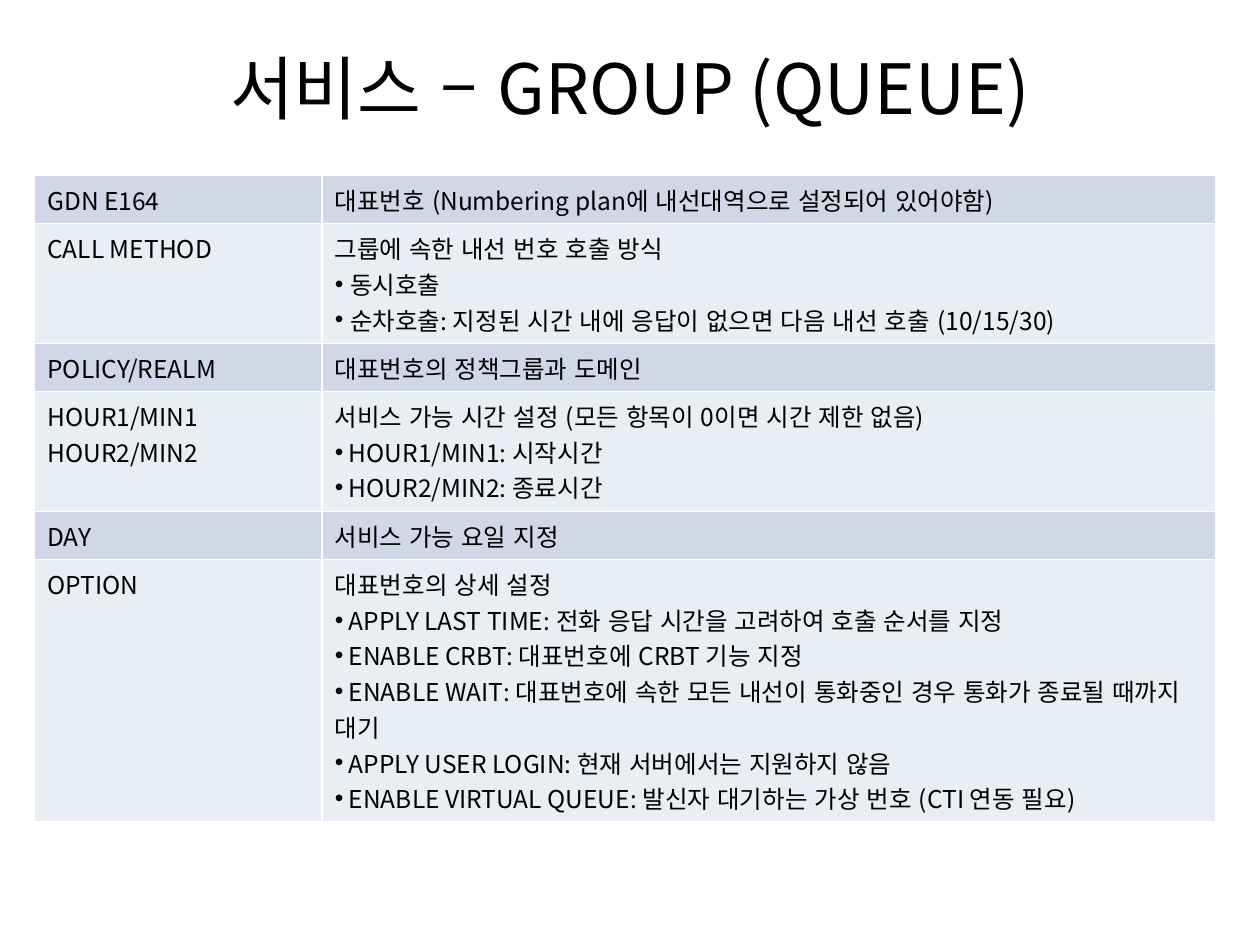
from dataclasses import dataclass

from lxml import etree
from pptx import Presentation
from pptx.dml.color import RGBColor
from pptx.enum.lang import MSO_LANGUAGE_ID
from pptx.enum.text import MSO_ANCHOR, PP_ALIGN
from pptx.oxml.ns import qn
from pptx.util import Pt

CENTER = PP_ALIGN.CENTER
MIDDLE = MSO_ANCHOR.MIDDLE
KOREAN = MSO_LANGUAGE_ID.KOREAN


@dataclass(frozen=True)
class Theme:
    """Colours, font and type sizes of the slide."""
    font: str = "Noto Sans CJK KR"
    text: str = "000000"
    border: str = "FFFFFF"
    bands: tuple = ("D0D8E8", "E9EDF4")
    title_size: float = 39.6
    body_size: float = 14
    line_height: float = 20.35
    cell_padding: float = 7.3
    border_width: float = 1


THEME = Theme()
TITLE = "서비스 – GROUP (QUEUE)"
SETTINGS = [
    (1, ["GDN E164"],
     "대표번호 (Numbering plan에 내선대역으로 설정되어 있어야함)", []),
    (3, ["CALL METHOD"], "그룹에 속한 내선 번호 호출 방식",
     ["동시호출",
      "순차호출: 지정된 시간 내에 응답이 없으면 다음 내선 호출 (10/15/30)"]),
    (1, ["POLICY/REALM"], "대표번호의 정책그룹과 도메인", []),
    (3, ["HOUR1/MIN1", "HOUR2/MIN2"],
     "서비스 가능 시간 설정 (모든 항목이 0이면 시간 제한 없음)",
     ["HOUR1/MIN1: 시작시간", "HOUR2/MIN2: 종료시간"]),
    (1, ["DAY"], "서비스 가능 요일 지정", []),
    (7, ["OPTION"], "대표번호의 상세 설정",
     ["APPLY LAST TIME: 전화 응답 시간을 고려하여 호출 순서를 지정",
      "ENABLE CRBT: 대표번호에 CRBT 기능 지정",
      "ENABLE WAIT: 대표번호에 속한 모든 내선이 통화중인 경우 통화가 종료될 때까지 대기",
      "APPLY USER LOGIN: 현재 서버에서는 지원하지 않음",
      "ENABLE VIRTUAL QUEUE: 발신자 대기하는 가상 번호 (CTI 연동 필요)"]),
]


def format_runs(p, size):
    """Give every run of a paragraph the theme font, colour and a size."""
    for r in p.runs:
        r.font.size = Pt(size)
        r.font.name = THEME.font
        r.font.language_id = KOREAN
        r.font.color.rgb = RGBColor.from_string(THEME.text)
        ea = etree.SubElement(r.font._element, qn("a:ea"))
        ea.set("typeface", THEME.font)


def add_bullet(p):
    """Put a round bullet at the left edge of a paragraph."""
    pPr = p._p.get_or_add_pPr()
    pPr.set("marL", "0")
    pPr.set("indent", "0")
    etree.SubElement(pPr, qn("a:buFont")).set("typeface", "Arial")
    etree.SubElement(pPr, qn("a:buChar")).set("char", "•")


def set_borders(cell):
    """Draw a thin line on all four sides of a cell."""
    tcPr = cell._tc.get_or_add_tcPr()
    for i, side in enumerate(("a:lnL", "a:lnR", "a:lnT", "a:lnB")):
        ln = etree.Element(qn(side), w=str(Pt(THEME.border_width)))
        fill = etree.SubElement(ln, qn("a:solidFill"))
        etree.SubElement(fill, qn("a:srgbClr")).set("val", THEME.border)
        tcPr.insert(i, ln)


def fill_cell(cell, lines, bullets, color):
    """Write plain lines, then bulleted lines, on a filled cell."""
    cell.fill.solid()
    cell.fill.fore_color.rgb = RGBColor.from_string(color)
    set_borders(cell)
    tf = cell.text_frame
    tf.text = "\n".join(lines + [f" {b}" for b in bullets])
    for i, p in enumerate(tf.paragraphs):
        format_runs(p, THEME.body_size)
        if i >= len(lines):
            add_bullet(p)


def add_title(s, left, top, width, height):
    """Place the centred slide title in the given box."""
    tf = s.shapes.add_textbox(Pt(left), Pt(top), Pt(width), Pt(height)).text_frame
    tf.word_wrap = True
    tf.vertical_anchor = MIDDLE
    tf.text = TITLE
    p = tf.paragraphs[0]
    p.alignment = CENTER
    format_runs(p, THEME.title_size)


def add_settings_table(s, left, top, width, name_width):
    """Place the table of group settings, each row as high as its text."""
    heights = [n * THEME.line_height + THEME.cell_padding
               for n, *_ in SETTINGS]
    table = s.shapes.add_table(len(SETTINGS), 2, Pt(left), Pt(top), Pt(width),
                               Pt(sum(heights))).table
    table.first_row = False
    table.horz_banding = False
    table.columns[0].width = Pt(name_width)
    table.columns[1].width = Pt(width - name_width)
    for i, (_, names, summary, details) in enumerate(SETTINGS):
        color = THEME.bands[i % len(THEME.bands)]
        table.rows[i].height = Pt(heights[i])
        fill_cell(table.cell(i, 0), names, [], color)
        fill_cell(table.cell(i, 1), [summary], details, color)


def main():
    """Build the slide and save it."""
    prs = Presentation()
    prs.slide_width, prs.slide_height = Pt(720), Pt(540)
    s = prs.slides.add_slide(prs.slide_layouts[6])
    add_title(s, 36, 22, 648, 55.4)
    add_settings_table(s, 19.8, 100.2, 674.7, 164.3)
    prs.save("out.pptx")


if __name__ == "__main__":
    main()
